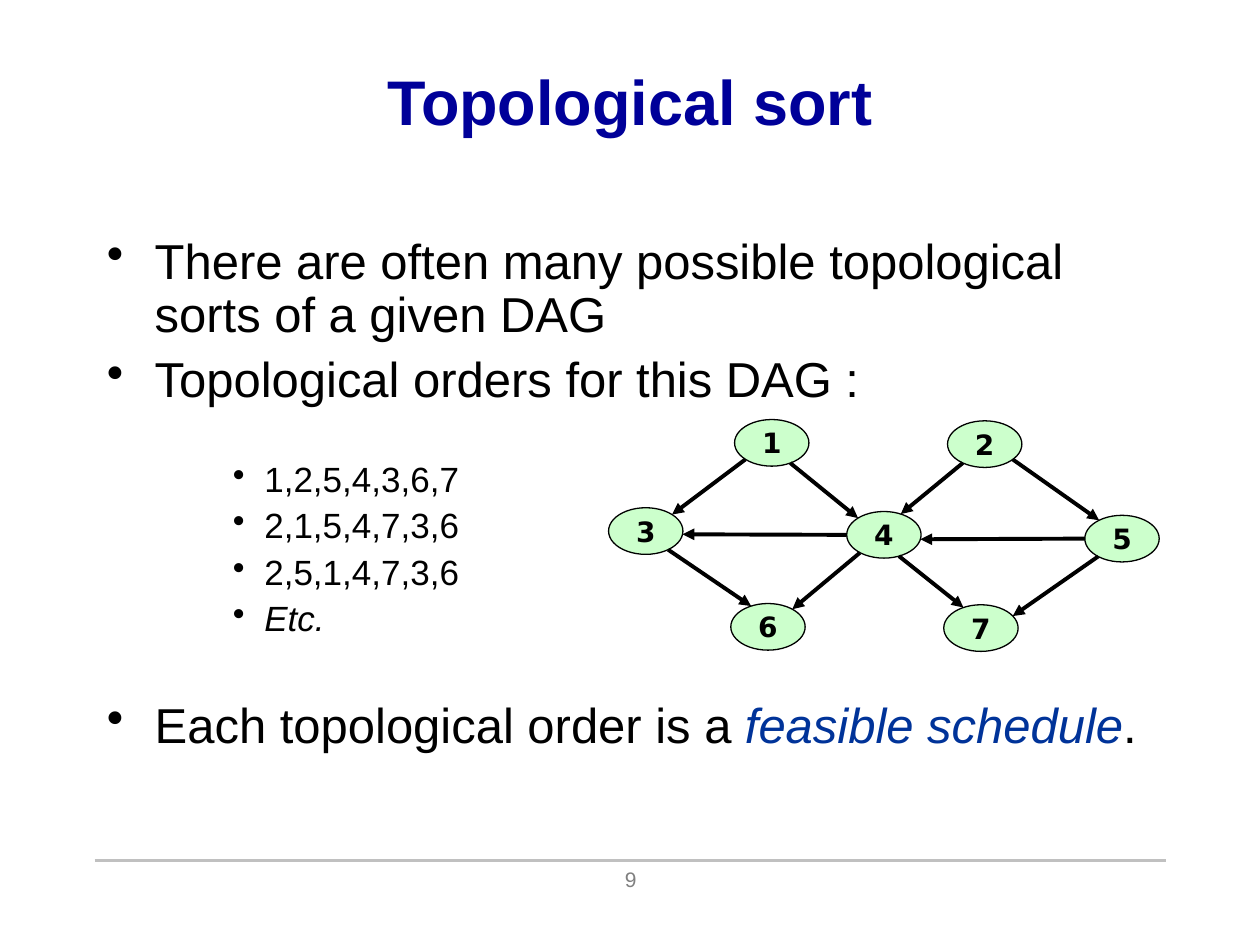
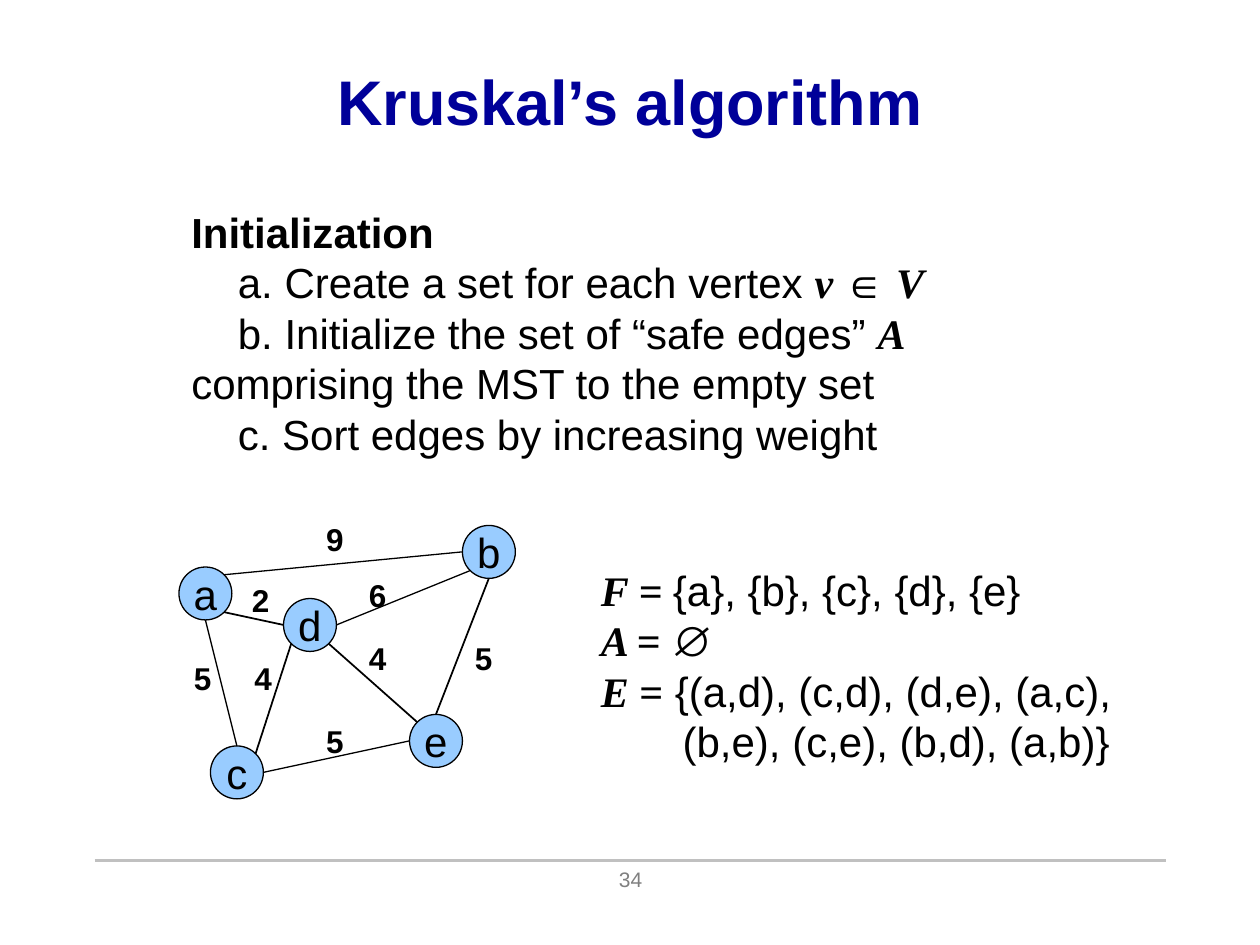
from math import cos, radians, sin

from pptx import Presentation
from pptx.dml.color import RGBColor
from pptx.enum.shapes import MSO_CONNECTOR, MSO_SHAPE
from pptx.enum.text import MSO_ANCHOR, PP_ALIGN
from pptx.oxml.ns import qn
from pptx.util import Inches, Pt
from lxml.etree import SubElement

COLUMNS, ROWS = 10, 7.5
WIDTH, HEIGHT = Inches(10), Inches(7.5)

COLORS = {
    "title": "000099",
    "text": "000000",
    "accent": "003399",
    "footer": "808080",
    "rule": "C0C0C0",
    "dag_node": "CCFFCC",
    "mst_node": "99CCFF",
}

SANS, SERIF = {"name": "Arial"}, {"name": "Times New Roman", "bold": True}
STYLES = {
    "title": ("title", {**SANS, "size": Pt(36), "bold": True}),
    "footer": ("footer", {**SANS, "size": Pt(12)}),
    "body": ("text", {**SANS, "size": Pt(28)}),
    "accent": ("accent", {**SANS, "size": Pt(28), "italic": True}),
    "order": ("text", {**SANS, "size": Pt(20)}),
    "order_italic": ("text", {**SANS, "size": Pt(20), "italic": True}),
    "step": ("text", {**SANS, "size": Pt(24)}),
    "heading": ("text", {**SANS, "size": Pt(24), "bold": True}),
    "variable": ("text", {**SERIF, "size": Pt(24), "italic": True}),
    "operator": ("text", {**SERIF, "size": Pt(24)}),
    "weight": ("text", {**SANS, "size": Pt(18), "bold": True}),
    "dag_node": ("text", {"name": "DejaVu Sans", "size": Pt(16), "bold": True}),
}

TOPIC = {"margin": 0.38, "indent": -0.38, "bullet": True, "line_spacing": 0.9}
ORDER = {"margin": 1.25, "indent": -0.25, "bullet": True, "line_spacing": 0.9}
STEP = {"indent": 0.37}
CENTERED = {"alignment": PP_ALIGN.CENTER}

TOPICS = [
    ([("There are often many possible topological sorts of a given DAG", "body")], TOPIC),
    ([("Topological orders for this DAG :", "body")], {**TOPIC, "space_before": Pt(7)}),
    ([("1,2,5,4,3,6,7", "order")], {**ORDER, "space_before": Pt(31)}),
    ([("2,1,5,4,7,3,6", "order")], {**ORDER, "space_before": Pt(5)}),
    ([("2,5,1,4,7,3,6", "order")], {**ORDER, "space_before": Pt(5)}),
    ([("Etc.", "order_italic")], {**ORDER, "space_before": Pt(5)}),
    ([("Each topological order is a ", "body"), ("feasible schedule", "accent"),
      (".", "body")], {**TOPIC, "space_before": Pt(35)}),
]

DAG_SIZE = (0.59, 0.37)
DAG_NODES = {
    "1": (5.83, 3.33), "4": (6.72, 4.06), "7": (7.49, 4.8), "6": (5.8, 4.79),
    "3": (4.83, 4.03), "5": (8.61, 4.09), "2": (7.52, 3.34),
}
DAG_EDGES = [
    ("1", 135, "3", 315), ("5", 130, "7", 329), ("2", 126, "4", 297),
    ("1", 60, "4", 226), ("4", 66, "7", 242), ("4", 130, "6", 311),
    ("5", 180, "4", 11), ("4", 180, "3", 8), ("2", 41, "5", 232),
    ("3", 53, "6", 243),
]

INITIALIZATION = [
    ([("Initialization", "heading")], {}),
    ([("a. Create a set for each vertex ", "step"), ("v ", "variable"),
      ("∈", "heading"), (" V", "variable")], STEP),
    ([("b. Initialize the set of “safe edges” ", "step"), ("A ", "variable"),
      ("comprising the MST to the empty set", "step")], STEP),
    ([("c. Sort edges by increasing weight", "step")], STEP),
]

SETS = [
    ([("F = ", "variable"), ("{a}, {b}, {c}, {d}, {e}", "step")], {}),
    ([("A ", "variable"), ("= ", "operator"), ("∅", "step")], {}),
    ([("E ", "variable"), ("=", "operator"),
      (" {(a,d), (c,d), (d,e), (a,c),", "step")], {}),
    ([("(b,e), (c,e), (b,d), (a,b)}", "step")], {"margin": 0.65}),
]

MST_SIZE = (0.42, 0.42)
MST_NODES = {"a": (1.42, 4.5), "c": (1.67, 5.92), "e": (3.25, 5.67),
             "d": (2.25, 4.75), "b": (3.67, 4.17)}
THIN_EDGES = [("a", 315, "b", 180), ("d", 0, "b", 135), ("a", 90, "c", 270),
              ("e", 180, "c", 0)]
STRONG_EDGES = [("a", 45, "d", 180), ("c", 315, "d", 135), ("d", 45, "e", 225),
                ("b", 90, "e", 270)]
WEIGHTS = [("2", 1.9, 4.56), ("4", 1.92, 5.18), ("5", 1.44, 5.18), ("9", 2.49, 4.08),
           ("6", 2.83, 4.52), ("4", 2.83, 5.02), ("5", 2.49, 5.68), ("5", 3.67, 5.02)]


def across(columns):
    """Turn grid columns into a horizontal length."""
    return round(WIDTH * columns / COLUMNS)


def down(rows):
    """Turn grid rows into a vertical length."""
    return round(HEIGHT * rows / ROWS)


def place(left, top, width, height):
    """Turn a grid area into slide lengths."""
    return across(left), down(top), across(width), down(height)


def rgb(name):
    """Look up a named colour."""
    return RGBColor.from_string(COLORS[name])


def set_all(target, values):
    """Set every attribute named in a dict of values."""
    for name, value in values.items():
        setattr(target, name, value)


def format_paragraph(paragraph, layout):
    """Apply indents, bullet and spacing to a paragraph."""
    values = dict(layout)
    properties = paragraph._p.get_or_add_pPr()
    properties.set("marL", str(across(values.pop("margin", 0))))
    properties.set("indent", str(across(values.pop("indent", 0))))
    if values.pop("bullet", False):
        color = SubElement(properties, qn("a:buClr"))
        SubElement(color, qn("a:srgbClr")).set("val", COLORS["text"])
        SubElement(properties, qn("a:buChar")).set("char", "•")
    set_all(paragraph, values)


def write(shape, paragraphs, anchor=MSO_ANCHOR.TOP, wrap=True):
    """Fill a shape with paragraphs of styled runs."""
    frame = shape.text_frame
    set_all(frame, {"word_wrap": wrap, "vertical_anchor": anchor})
    for index, (runs, layout) in enumerate(paragraphs):
        paragraph = frame.add_paragraph() if index else frame.paragraphs[0]
        format_paragraph(paragraph, layout)
        for words, style in runs:
            run = paragraph.add_run()
            run.text = words
            color, font = STYLES[style]
            set_all(run.font, font)
            run.font.color.rgb = rgb(color)


def add_text(slide, area, paragraphs, **options):
    """Add a text box over a grid area."""
    write(slide.shapes.add_textbox(*place(*area)), paragraphs, **options)


def add_line(slide, start, end, color, weight, arrow=False):
    """Draw a straight line between two grid points."""
    line = slide.shapes.add_connector(
        MSO_CONNECTOR.STRAIGHT, across(start[0]), down(start[1]),
        across(end[0]), down(end[1]))
    line.line.color.rgb = rgb(color)
    line.line.width = Pt(weight)
    if arrow:
        SubElement(line.line._get_or_add_ln(), qn("a:tailEnd")).set("type", "triangle")
    SubElement(line._element.spPr, qn("a:effectLst"))


def add_nodes(slide, nodes, size, fill, style):
    """Draw the labelled nodes of a graph."""
    for label, corner in nodes.items():
        node = slide.shapes.add_shape(MSO_SHAPE.OVAL, *place(*corner, *size))
        node.shadow.inherit = False
        node.fill.solid()
        node.fill.fore_color.rgb = rgb(fill)
        node.line.color.rgb = rgb("text")
        node.line.width = Pt(0.75)
        write(node, [([(label, style)], CENTERED)], MSO_ANCHOR.MIDDLE, wrap=False)


def rim(corner, size, degrees):
    """Find the point on a node's rim, clockwise from its right end."""
    turn = radians(degrees)
    return (corner[0] + size[0] / 2 * (1 + cos(turn)),
            corner[1] + size[1] / 2 * (1 + sin(turn)))


def add_edges(slide, nodes, size, edges, weight, arrow=False):
    """Draw the edges of a graph from rim to rim."""
    for source, leaving, target, arriving in edges:
        add_line(slide, rim(nodes[source], size, leaving),
                 rim(nodes[target], size, arriving), "text", weight, arrow)


def add_page(deck, title, number):
    """Add a slide with its footer rule, page number and title."""
    slide = deck.slides.add_slide(deck.slide_layouts[6])
    add_line(slide, (0.75, 6.83), (9.25, 6.83), "rule", 1.5)
    add_text(slide, (3.42, 6.83, 3.17, 0.5), [([(number, "footer")], CENTERED)])
    add_text(slide, (0.75, 0.17, 8.5, 1.25), [([(title, "title")], CENTERED)],
             anchor=MSO_ANCHOR.MIDDLE)
    return slide


def add_topological_sort(deck):
    """Build the slide on topological orders."""
    slide = add_page(deck, "Topological sort", "9")
    add_text(slide, (0.75, 1.83, 8.5, 4.5), TOPICS)
    add_nodes(slide, DAG_NODES, DAG_SIZE, "dag_node", "dag_node")
    add_edges(slide, DAG_NODES, DAG_SIZE, DAG_EDGES, 2.25, arrow=True)


def add_kruskal(deck):
    """Build the slide on the start of Kruskal's algorithm."""
    slide = add_page(deck, "Kruskal’s algorithm", "34")
    add_text(slide, (1.42, 1.59, 7.17, 2.1), INITIALIZATION)
    add_nodes(slide, MST_NODES, MST_SIZE, "mst_node", "step")
    add_edges(slide, MST_NODES, MST_SIZE, THIN_EDGES, 0.75)
    add_edges(slide, MST_NODES, MST_SIZE, STRONG_EDGES, 1)
    for weight, left, top in WEIGHTS:
        add_text(slide, (left, top, 0.34, 0.4), [([(weight, "weight")], {})], wrap=False)
    add_text(slide, (4.67, 4.43, 4.34, 1.7), SETS, anchor=MSO_ANCHOR.MIDDLE)


def main():
    """Build and save the deck."""
    deck = Presentation()
    set_all(deck, {"slide_width": WIDTH, "slide_height": HEIGHT})
    add_topological_sort(deck)
    add_kruskal(deck)
    deck.save("out.pptx")


if __name__ == "__main__":
    main()
